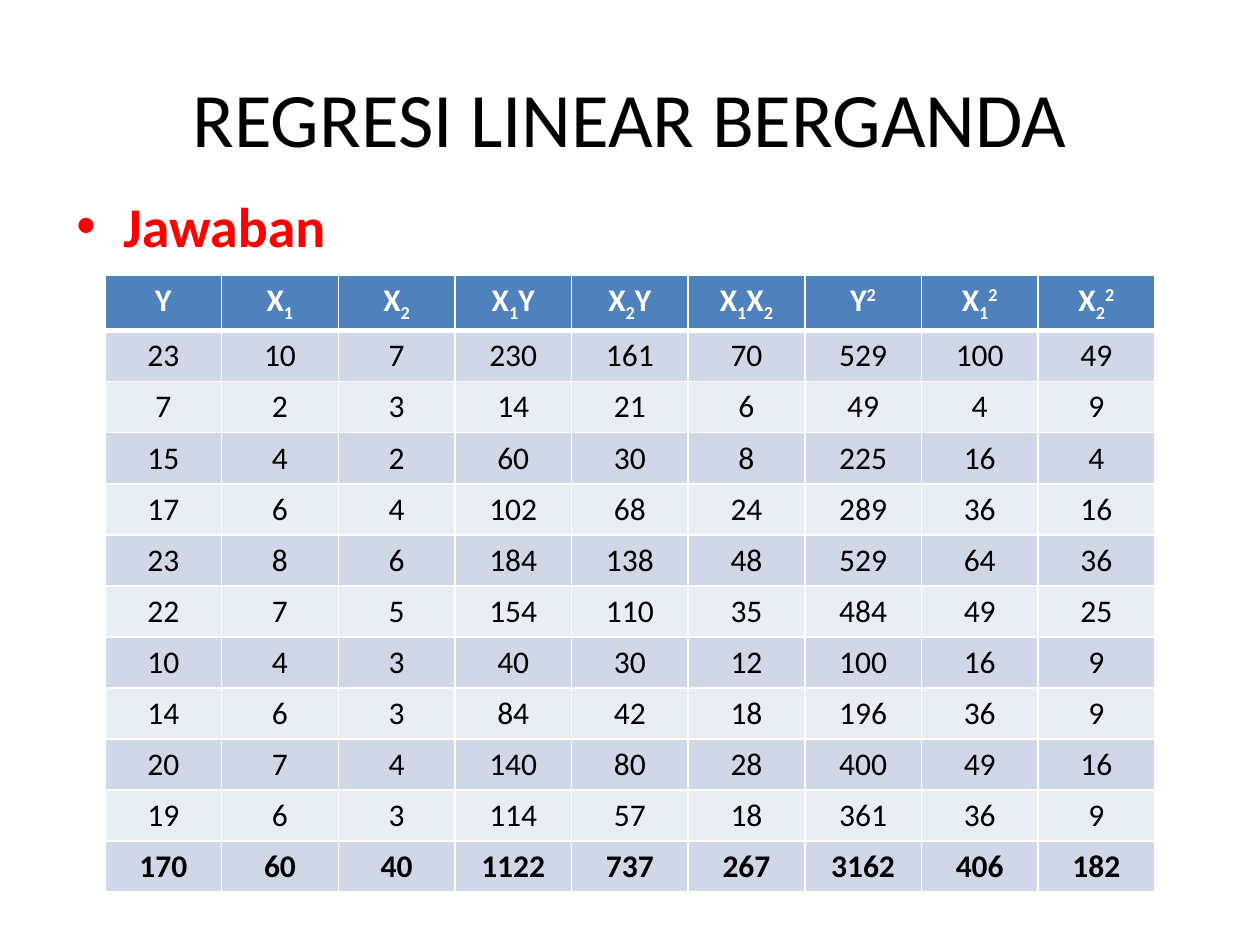
from pptx import Presentation
from pptx.dml.color import RGBColor
from pptx.enum.text import MSO_ANCHOR, PP_ALIGN
from pptx.oxml.ns import qn
from pptx.util import Pt
from lxml.etree import SubElement

LEFT, CENTER = PP_ALIGN.LEFT, PP_ALIGN.CENTER
TOP, MIDDLE = MSO_ANCHOR.TOP, MSO_ANCHOR.MIDDLE
WHITE = RGBColor(0xFF, 0xFF, 0xFF)
BLACK = RGBColor(0x00, 0x00, 0x00)
RED = RGBColor(0xFF, 0x00, 0x00)
BLUE = RGBColor(0x4F, 0x81, 0xBD)
BANDS = RGBColor(0xD0, 0xD8, 0xE8), RGBColor(0xE9, 0xED, 0xF4)
SCALE = 914400 / 126
SUB, SUP = -25000, 30000


def px(count):
    return round(count * SCALE)


class Deck:
    font = "Calibri"

    def __init__(self, width, height):
        self.file = Presentation()
        self.file.slide_width, self.file.slide_height = px(width), px(height)
        self.slide = self.file.slides.add_slide(self.file.slide_layouts[6])

    def run(self, para, text, size, color, bold=False, base=0):
        run = para.add_run()
        run.text = text
        font = run.font
        font.name, font.size, font.bold = self.font, Pt(size), bold
        font.color.rgb = color
        if base:
            run._r.get_or_add_rPr().set("baseline", str(base))

    def text(self, box, text, size, color, bold=False, align=LEFT, anchor=TOP):
        frame = self.slide.shapes.add_textbox(*map(px, box)).text_frame
        frame.word_wrap = True
        frame.vertical_anchor = anchor
        para = frame.paragraphs[0]
        para.alignment = align
        self.run(para, text, size, color, bold)
        return para

    def bullet(self, para, indent):
        props = para._p.get_or_add_pPr()
        props.set("marL", str(px(indent)))
        props.set("indent", str(-px(indent)))
        space = SubElement(props, qn("a:spcBef"))
        SubElement(space, qn("a:spcPct")).set("val", "20000")
        SubElement(props, qn("a:buFont")).set("typeface", "Arial")
        SubElement(props, qn("a:buChar")).set("char", "•")

    def border(self, cell, **widths):
        props = cell._tc.get_or_add_tcPr()
        for side in "LRTB":
            line = SubElement(props, qn("a:ln" + side))
            line.set("w", str(Pt(widths.get(side, 1))))
            fill = SubElement(line, qn("a:solidFill"))
            SubElement(fill, qn("a:srgbClr")).set("val", str(WHITE))

    def cell(self, cell, runs, size, color, fill, bold, **widths):
        self.border(cell, **widths)
        cell.fill.solid()
        cell.fill.fore_color.rgb = fill
        para = cell.text_frame.paragraphs[0]
        para.alignment = CENTER
        for text, base in runs:
            self.run(para, text, size, color, bold, base)

    def table(self, box, head, rows, size):
        count = len(rows) + 1
        frame = self.slide.shapes.add_table(count, len(head), *map(px, box))
        table = frame.table
        for col in table.columns:
            col.width = px(box[2] / len(head))
        for row in table.rows:
            row.height = px(box[3] / count)
        for x, runs in enumerate(head):
            self.cell(table.cell(0, x), runs, size, WHITE, BLUE, True, B=3)
        for y, row in enumerate(rows, 1):
            top = 3 if y == 1 else 1
            for x, value in enumerate(row):
                self.cell(table.cell(y, x), [(str(value), 0)], size, BLACK,
                          BANDS[(y - 1) % 2], y == len(rows), T=top)


Y, X = ("Y", 0), ("X", 0)
ONE, TWO, SQUARE = ("1", SUB), ("2", SUB), ("2", SUP)
HEAD = [
    [Y], [X, ONE], [X, TWO],
    [X, ONE, Y], [X, TWO, Y], [X, ONE, X, TWO],
    [Y, SQUARE], [X, ONE, SQUARE], [X, TWO, SQUARE],
]
DATA = [
    (23, 10, 7), (7, 2, 3), (15, 4, 2), (17, 6, 4), (23, 8, 6),
    (22, 7, 5), (10, 4, 3), (14, 6, 3), (20, 7, 4), (19, 6, 3),
]
rows = [(y, a, b, a * y, b * y, a * b, y * y, a * a, b * b) for y, a, b in DATA]
rows.append([sum(col) for col in zip(*rows)])

deck = Deck(1260, 945)
deck.text((63, 38, 1134, 157), "REGRESI LINEAR BERGANDA", 44, BLACK,
          align=CENTER, anchor=MIDDLE)
answer = deck.text((64, 185, 1134, 624), "Jawaban", 32, RED, bold=True)
deck.bullet(answer, 47)
deck.table((105, 275, 1050, 613), HEAD, rows, 18)
deck.file.save("out.pptx")
